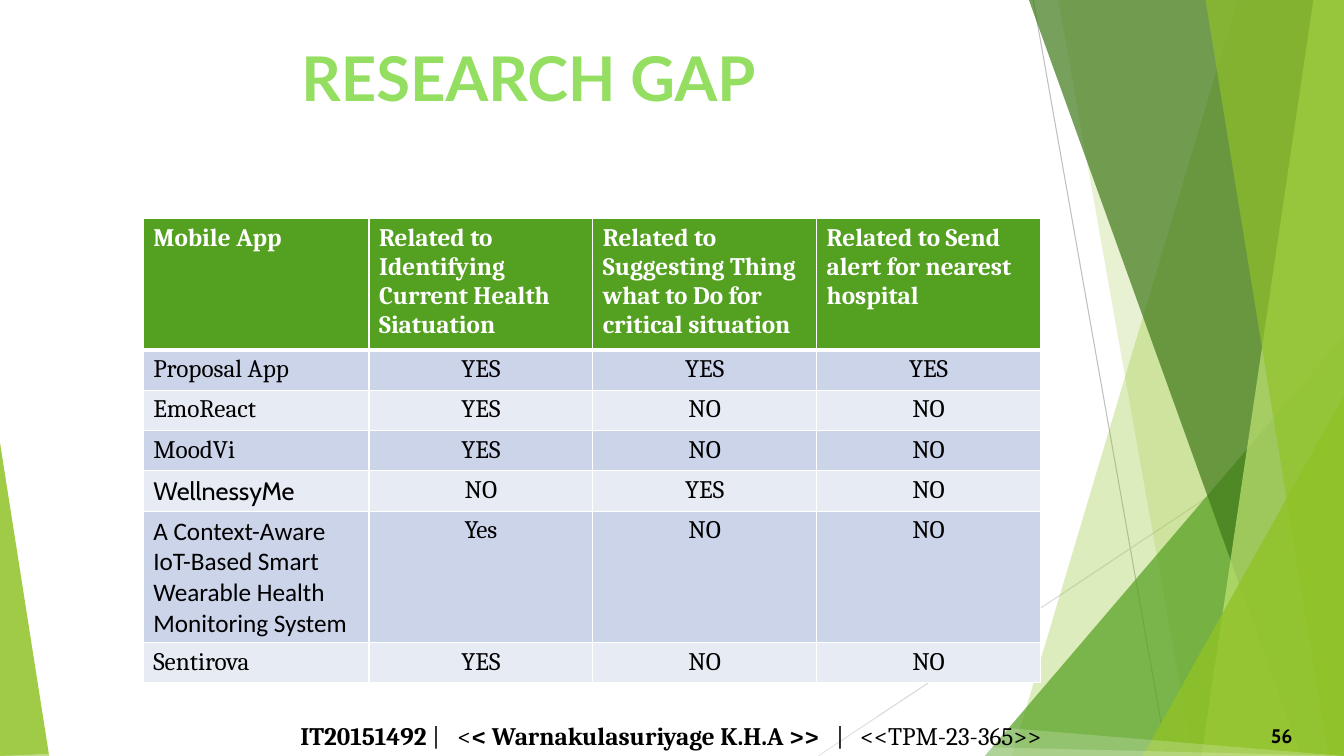
from lxml.etree import SubElement
from pptx import Presentation
from pptx.dml.color import RGBColor
from pptx.enum.shapes import MSO_CONNECTOR, MSO_SHAPE
from pptx.enum.text import MSO_ANCHOR, PP_ALIGN
from pptx.oxml import parse_xml
from pptx.oxml.ns import nsdecls, qn
from pptx.util import Cm, Pt

# Content
WIDE, HIGH = 33.87, 19.05
TITLE = "RESEARCH GAP"
PAGE = "56"
FOOTER = [
    ("IT20151492", True),
    (" |\t<", False),
    ("< Warnakulasuriyage K.H.A >>\t", True),
    ("|\t<<TPM-23-365>>", False),
]
STOPS = [3.96, 13.5, 14.11]
HEAD = [
    "Mobile App",
    "Related to Identifying Current Health Siatuation",
    "Related to Suggesting Thing what to Do for critical situation",
    "Related to Send alert for nearest hospital",
]
APPS = [  # name, font, answers
    ("Proposal App", "Cambria", ["YES", "YES", "YES"]),
    ("EmoReact", "Cambria", ["YES", "NO", "NO"]),
    ("MoodVi", "Cambria", ["YES", "NO", "NO"]),
    ("WellnessyMe", "Cabin", ["NO", "YES", "NO"]),
    ("A Context-Aware IoT-Based Smart Wearable Health Monitoring System",
     "Calibri", ["Yes", "NO", "NO"]),
    ("Sentirova", "Cambria", ["YES", "NO", "NO"]),
]
COLS = [5.69, 5.64, 5.64, 5.64]
ROWS = [3.23] + [0.99] * len(APPS)

# Backdrop, back to front
LINES = [
    ((26.04, 0), (29.41, HIGH), "BFBFBF"),
    ((WIDE, 10.24), (20.62, HIGH), "D9D9D9"),
]
SHAPES = [  # bands: top x, bottom x; peaks: box and apex
    ("band", (31.19, 25.5), "90C226", 30),
    ("band", (26.67, 30.05), "90C226", 20),
    ("peak", (24.82, 8.46, 9.05, 10.59, 1), "54A021", 72),
    ("band", (25.93, 32.79), "3F7819", 70),
    ("band", (33.1, 30.28), "C0E474", 70),
    ("band", (30.38, 33.48), "90C226", 65),
    ("peak", (28.8, 9.98, 5.07, 9.07, 1), "90C226", 80),
    ("peak", (0, 11.15, 1.24, 7.9, 0), "90C226", 85),
    ("peak", (0, 18.01, WIDE, 1.04, 0.63), "FFFFFF", 20),
    ("peak", (0, 18.54, WIDE, 0.51, 0.39), "FFFFFF", 20),
]

# Text formats
BODY = {"name": "Cambria", "size": Pt(18), "bold": False}
BIG = {"name": "Lato", "size": Pt(44), "bold": True}
SMALL = {"name": "Cabin", "size": Pt(14), "bold": True}


def paint(fill, tint, alpha=100):
    fill.solid()
    fill.fore_color.rgb = RGBColor.from_string(tint)
    if alpha < 100:
        node = fill._xPr.find(qn("a:solidFill"))[0]
        SubElement(node, qn("a:alpha")).set("val", str(alpha * 1000))


def style(font, form, tint="000000"):
    for key, val in form.items():
        setattr(font, key, val)
    paint(font.fill, tint)


def draw_line(start, end, tint):
    line = slide.shapes.add_connector(
        MSO_CONNECTOR.STRAIGHT, *map(Cm, start + end))
    line.line.width = Pt(0.75)
    paint(line.line.fill, tint)
    SubElement(line._element.spPr, qn("a:effectLst"))


def draw_shape(kind, spots, tint, alpha):
    if kind == "band":
        top, base = spots
        pen = slide.shapes.build_freeform(Cm(top), 0)
        ends = [(WIDE, 0), (WIDE, HIGH), (base, HIGH)]
        pen.add_line_segments([(Cm(x), Cm(y)) for x, y in ends])
        shape = pen.convert_to_shape()
    else:
        shape = slide.shapes.add_shape(
            MSO_SHAPE.ISOSCELES_TRIANGLE, *map(Cm, spots[:4]))
        shape.adjustments[0] = spots[4]
    shape.shadow.inherit = False
    shape.line.fill.background()
    paint(shape.fill, tint, alpha)


def add_text(box, runs, form, tint="000000", align=PP_ALIGN.LEFT, stops=()):
    frame = slide.shapes.add_textbox(*map(Cm, box)).text_frame
    frame.word_wrap = True
    frame.vertical_anchor = MSO_ANCHOR.MIDDLE
    para = frame.paragraphs[0]
    para.alignment = align
    if stops:
        tabs = SubElement(para._p.get_or_add_pPr(), qn("a:tabLst"))
        for stop in stops:
            tab = SubElement(tabs, qn("a:tab"))
            tab.set("pos", str(Cm(stop)))
            tab.set("algn", "l")
    for text, bold in runs:
        run = para.add_run()
        run.text = text
        style(run.font, form | {"bold": bold}, tint)


def fill_cell(cell, text, form, tint, back, align, rims):
    cell.text = text
    para = cell.text_frame.paragraphs[0]
    para.alignment = align
    style(para.runs[0].font, form, tint)
    props = cell._tc.get_or_add_tcPr()
    for spot, (side, width) in enumerate(rims.items()):
        props.insert(spot, parse_xml(
            f'<a:ln{side} {nsdecls("a")} w="{Pt(width)}"><a:solidFill>'
            f'<a:srgbClr val="FFFFFF"/></a:solidFill></a:ln{side}>'))
    paint(cell.fill, back)


deck = Presentation()
deck.slide_width, deck.slide_height = Cm(WIDE), Cm(HIGH)
slide = deck.slides.add_slide(deck.slide_layouts[6])

for line in LINES:
    draw_line(*line)
for shape in SHAPES:
    draw_shape(*shape)

# Title, page number and footer
add_text((31.78, 18.03, 1.88, 1.02), [(PAGE, True)], SMALL)
add_text((0.84, 0.84, 24.97, 2.21), [(TITLE, True)], BIG, "94DE61",
         PP_ALIGN.CENTER)
add_text((7.32, 18.03, 20.32, 1.02), FOOTER, BODY, stops=STOPS)

# Table
table = slide.shapes.add_table(
    len(ROWS), len(COLS), Cm(3.61), Cm(5.51),
    Cm(sum(COLS)), Cm(sum(ROWS))).table
for col, width in zip(table.columns, COLS):
    col.width = Cm(width)
for row, height in zip(table.rows, ROWS):
    row.height = Cm(height)

RIMS = {"L": 0.96, "R": 0.96, "T": 0.96, "B": 0.96}
for c, text in enumerate(HEAD):
    fill_cell(table.cell(0, c), text, BODY | {"bold": True}, "FFFFFF",
              "54A021", PP_ALIGN.LEFT, RIMS | {"B": 3})
for r, (name, face, marks) in enumerate(APPS, 1):
    back = "CCD4EA" if r % 2 else "E7EBF4"
    rims = RIMS | {"T": 3} if r == 1 else RIMS
    for c, text in enumerate([name] + marks):
        form = BODY if c else BODY | {"name": face}
        align = PP_ALIGN.CENTER if c else PP_ALIGN.LEFT
        fill_cell(table.cell(r, c), text, form, "000000", back, align, rims)

deck.save("out.pptx")
